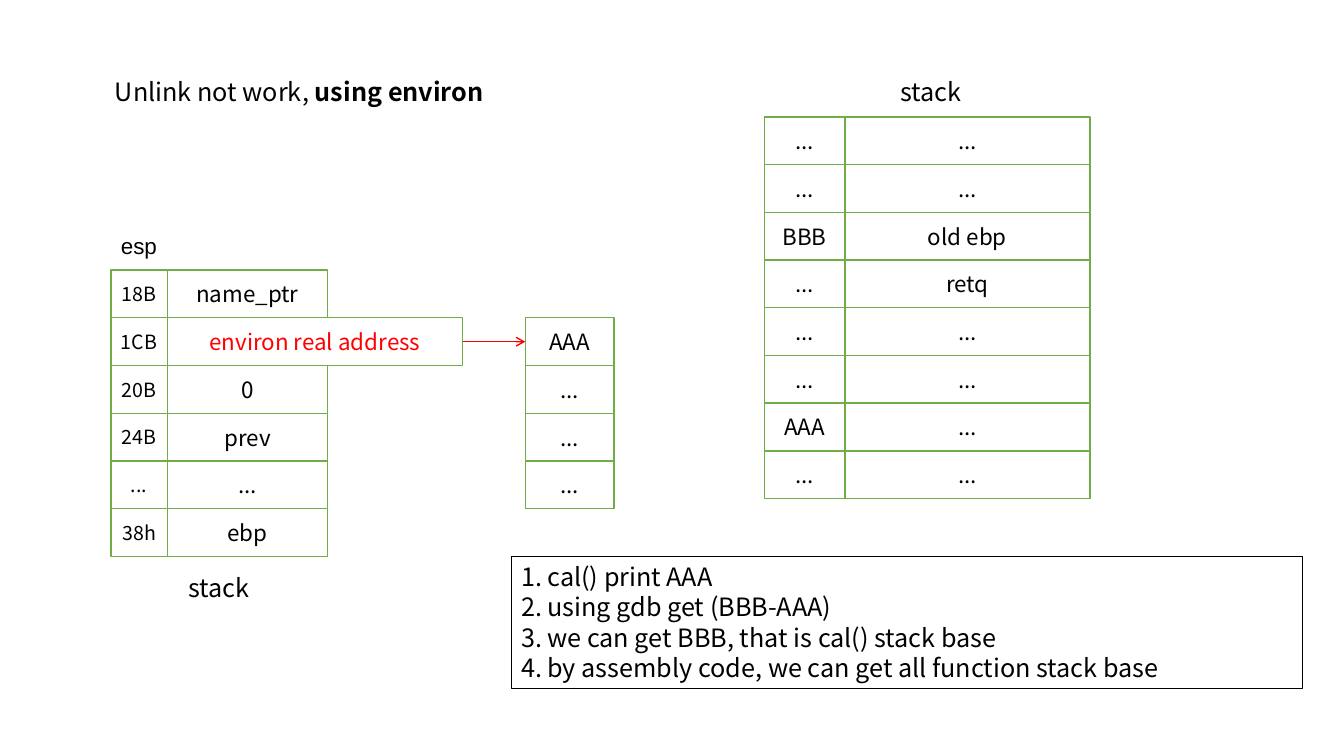
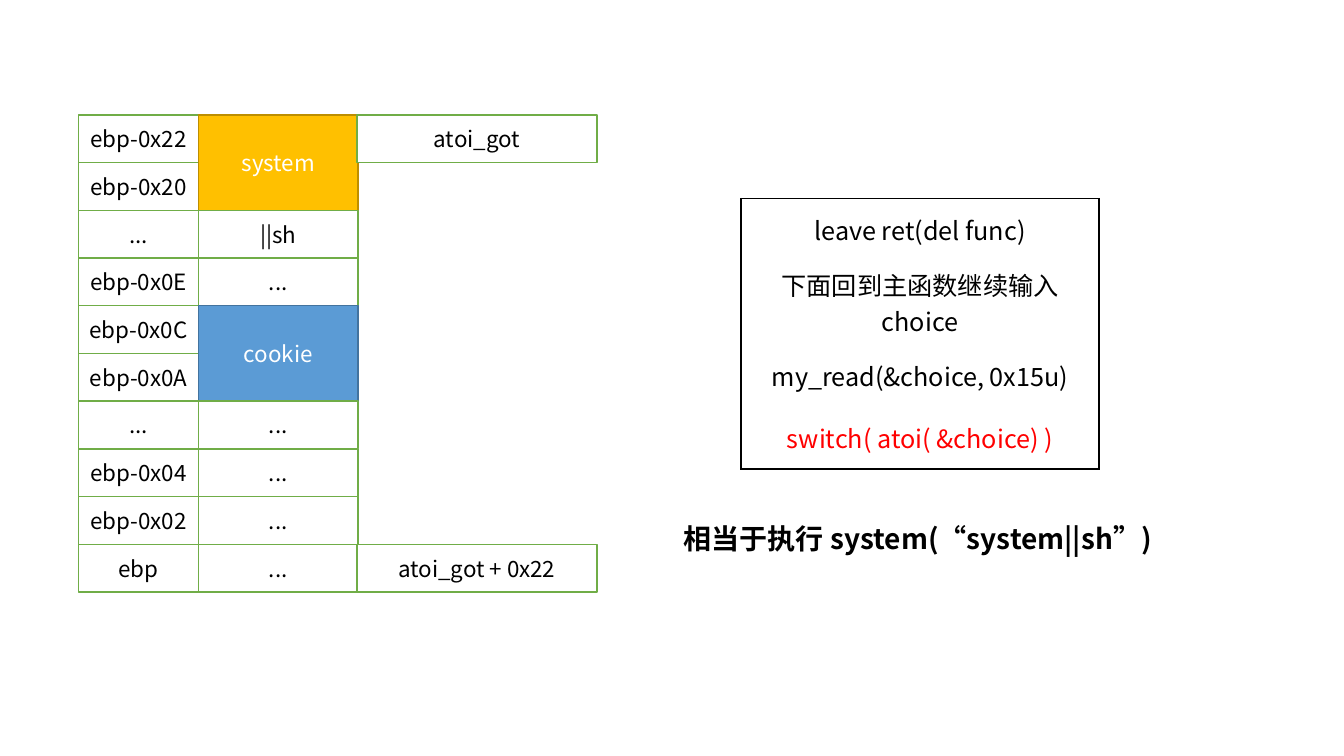
from dataclasses import dataclass
from typing import Any, Optional

import lxml.etree
import pptx
import pptx.dml.color
import pptx.enum.shapes
import pptx.enum.text
import pptx.oxml.ns
import pptx.util

Inches = pptx.util.Inches
Pt = pptx.util.Pt
Align = pptx.enum.text.PP_ALIGN
Anchor = pptx.enum.text.MSO_ANCHOR

SLIDE_WIDTH, SLIDE_HEIGHT = 13.33, 7.5
ROW = 1.42 / 3
LINE_RATIO = 1.2
FONT = "Noto Sans CJK SC"
COLORS = {
    "text": "000000",
    "paper": "FFFFFF",
    "alert": "FF0000",
    "cell_line": "70AD47",
    "system": "FFC000",
    "system_line": "BD8E00",
    "cookie": "5B9BD5",
    "cookie_line": "43739E",
}


@dataclass(frozen=True)
class Run:
    text: str
    size: int = 18
    color: str = "text"
    bold: bool = False
    font: str = FONT


@dataclass(frozen=True)
class Box:
    left: float
    top: float
    width: float
    height: float


@dataclass(frozen=True)
class Cell:
    text: str
    rows: int = 1
    width: Optional[float] = None
    color: str = "text"
    fill: str = "paper"
    line: str = "cell_line"


@dataclass(frozen=True)
class StackColumn:
    left: float
    top: float
    width: float
    cells: tuple[Cell, ...]
    size: int = 16


def rgb(name: str) -> pptx.dml.color.RGBColor:
    return pptx.dml.color.RGBColor.from_string(COLORS[name])


def add_xml(parent: Any, tag: str, **attributes: str) -> Any:
    return lxml.etree.SubElement(parent, pptx.oxml.ns.qn(tag), attributes)


def cells(*labels: str) -> tuple[Cell, ...]:
    return tuple(Cell(label) for label in labels)


def write(paragraph: Any, runs: tuple[Run, ...], align: Any = Align.LEFT,
          tight: bool = True) -> None:
    paragraph.alignment = align
    paragraph.space_before = Pt(0)
    if tight:
        paragraph.line_spacing = Pt(runs[0].size * LINE_RATIO)
    for part in runs:
        run = paragraph.add_run()
        run.text = part.text
        run.font.size = Pt(part.size)
        run.font.bold = part.bold
        run.font.name = part.font
        run.font.color.rgb = rgb(part.color)
        add_xml(run.font._element, "a:ea", typeface=part.font)


def place(shape: Any, box: Box) -> None:
    shape.left, shape.top = Inches(box.left), Inches(box.top)
    shape.width, shape.height = Inches(box.width), Inches(box.height)


def prepare_frame(shape: Any) -> Any:
    frame = shape.text_frame
    frame.word_wrap = True
    frame.auto_size = pptx.enum.text.MSO_AUTO_SIZE.NONE
    frame.vertical_anchor = Anchor.TOP
    return frame


def set_title(slide: Any, box: Box, *runs: Run) -> None:
    title = slide.shapes.title
    place(title, box)
    write(prepare_frame(title).paragraphs[0], runs)


def add_label(slide: Any, box: Box, run: Run) -> None:
    label = slide.shapes.add_textbox(
        Inches(box.left), Inches(box.top), Inches(box.width), Inches(box.height))
    write(prepare_frame(label).paragraphs[0], (run,))


def set_steps(slide: Any, box: Box, steps: tuple[str, ...]) -> None:
    body = slide.placeholders[1]
    place(body, box)
    body.line.color.rgb = rgb("text")
    body.line.width = Pt(0.75)
    frame = prepare_frame(body)
    for index, step in enumerate(steps):
        paragraph = frame.paragraphs[0] if index == 0 else frame.add_paragraph()
        write(paragraph, (Run(step),))
        properties = paragraph._p.get_or_add_pPr()
        indent = Inches(0.26)
        properties.set("marL", str(indent))
        properties.set("indent", str(-indent))
        add_xml(properties, "a:buFont", typeface=FONT)
        add_xml(properties, "a:buAutoNum", type="arabicPeriod")


def draw_column(slide: Any, column: StackColumn) -> list[Any]:
    drawn = []
    row = 0
    for cell in column.cells:
        rect = slide.shapes.add_shape(
            pptx.enum.shapes.MSO_SHAPE.RECTANGLE,
            Inches(column.left), Inches(column.top + row * ROW),
            Inches(cell.width or column.width), Inches(cell.rows * ROW))
        rect.shadow.inherit = False
        rect.fill.solid()
        rect.fill.fore_color.rgb = rgb(cell.fill)
        rect.line.color.rgb = rgb(cell.line)
        rect.line.width = Pt(1)
        frame = prepare_frame(rect)
        frame.vertical_anchor = Anchor.MIDDLE
        frame.margin_left = frame.margin_right = Inches(0.05)
        write(frame.paragraphs[0], (Run(cell.text, column.size, cell.color),), Align.CENTER)
        drawn.append(rect)
        row += cell.rows
    return drawn


def draw_pointer(slide: Any, source: Any, target: Any) -> None:
    pointer = slide.shapes.add_connector(
        pptx.enum.shapes.MSO_CONNECTOR.STRAIGHT, 0, 0, 0, 0)
    pointer.begin_connect(source, 3)
    pointer.end_connect(target, 1)
    pointer.line.color.rgb = rgb("alert")
    pointer.line.width = Pt(1)
    add_xml(pointer.line._get_or_add_ln(), "a:tailEnd", type="arrow")
    add_xml(pointer._element.spPr, "a:effectLst")


def draw_calls(slide: Any, box: Box, heights: tuple[float, ...],
               calls: tuple[Run, ...]) -> None:
    table = slide.shapes.add_table(
        len(calls), 1, Inches(box.left), Inches(box.top),
        Inches(box.width), Inches(box.height)).table
    table.first_row = table.horz_banding = False
    last = len(calls) - 1
    for index, (height, call) in enumerate(zip(heights, calls)):
        table.rows[index].height = Inches(height)
        cell = table.cell(index, 0)
        cell.vertical_anchor = Anchor.MIDDLE
        write(cell.text_frame.paragraphs[0], (call,), Align.CENTER, tight=False)
        properties = cell._tc.get_or_add_tcPr()
        edges = {"a:lnL": True, "a:lnR": True, "a:lnT": index == 0, "a:lnB": index == last}
        for tag, visible in edges.items():
            edge = add_xml(properties, tag, w=str(Pt(1)))
            if visible:
                add_xml(add_xml(edge, "a:solidFill"), "a:srgbClr", val=COLORS["text"])
            else:
                add_xml(edge, "a:noFill")
        cell.fill.background()


def build_environ_slide(deck: Any) -> None:
    slide = deck.slides.add_slide(deck.slide_layouts[1])
    set_title(slide, Box(1.04, 0.71, 6.5, 0.4),
              Run("Unlink not work, "), Run("using environ", bold=True))

    frame_top = 2.68
    draw_column(slide, StackColumn(
        1.1, frame_top, 0.56, cells("18B", "1CB", "20B", "24B", "...", "38h"), 14))
    environ = Cell("environ real address", width=2.93, color="alert")
    variables = draw_column(slide, StackColumn(
        1.66, frame_top, 1.59,
        (Cell("name_ptr"), environ, *cells("0", "prev", "...", "ebp"))))
    targets = draw_column(slide, StackColumn(
        5.21, frame_top + ROW, 0.88, cells("AAA", "...", "...", "...")))
    draw_pointer(slide, variables[1], targets[0])

    stack_top = 1.16
    draw_column(slide, StackColumn(
        7.58, stack_top, 0.8,
        cells("...", "...", "BBB", "...", "...", "...", "AAA", "...")))
    draw_column(slide, StackColumn(
        8.38, stack_top, 2.43,
        cells("...", "...", "old ebp", "retq", "...", "...", "...", "...")))

    add_label(slide, Box(1.1, 2.25, 1.22, 0.37), Run("esp", 16, font="Arial"))
    for left, top in ((1.77, 5.63), (8.83, 0.71)):
        add_label(slide, Box(left, top, 1.07, 0.4), Run("stack"))
    set_steps(slide, Box(5.07, 5.52, 7.85, 1.31), (
        "cal() print AAA",
        "using gdb get (BBB-AAA)",
        "we can get BBB, that is cal() stack base",
        "by assembly code, we can get all function stack base",
    ))


def build_system_slide(deck: Any) -> None:
    slide = deck.slides.add_slide(deck.slide_layouts[5])
    set_title(slide, Box(6.68, 5.12, 5.72, 0.44),
              Run("相当于执行 system(“system||sh”)", 20, bold=True))

    top = 1.14
    offsets = cells("ebp-0x22", "ebp-0x20", "...", "ebp-0x0E", "ebp-0x0C",
                    "ebp-0x0A", "...", "ebp-0x04", "ebp-0x02", "ebp")
    contents = (
        Cell("system", 2, color="paper", fill="system", line="system_line"),
        *cells("||sh", "..."),
        Cell("cookie", 2, color="paper", fill="cookie", line="cookie_line"),
        *cells("...", "...", "...", "..."),
    )
    overwrites = ((0, "atoi_got"), (len(offsets) - 1, "atoi_got + 0x22"))
    draw_column(slide, StackColumn(0.78, top, 1.19, offsets))
    draw_column(slide, StackColumn(1.97, top, 1.58, contents))
    for row, text in overwrites:
        draw_column(slide, StackColumn(3.54, top + row * ROW, 2.38, cells(text)))

    draw_calls(slide, Box(7.35, 1.97, 3.55, 2.68), (0.62, 0.82, 0.62, 0.62), (
        Run("leave ret(del func)"),
        Run("下面回到主函数继续输入choice"),
        Run("my_read(&choice, 0x15u)"),
        Run("switch( atoi( &choice) )", color="alert"),
    ))


def main() -> None:
    deck = pptx.Presentation()
    deck.slide_width = Inches(SLIDE_WIDTH)
    deck.slide_height = Inches(SLIDE_HEIGHT)
    build_environ_slide(deck)
    build_system_slide(deck)
    deck.save("out.pptx")


if __name__ == "__main__":
    main()
